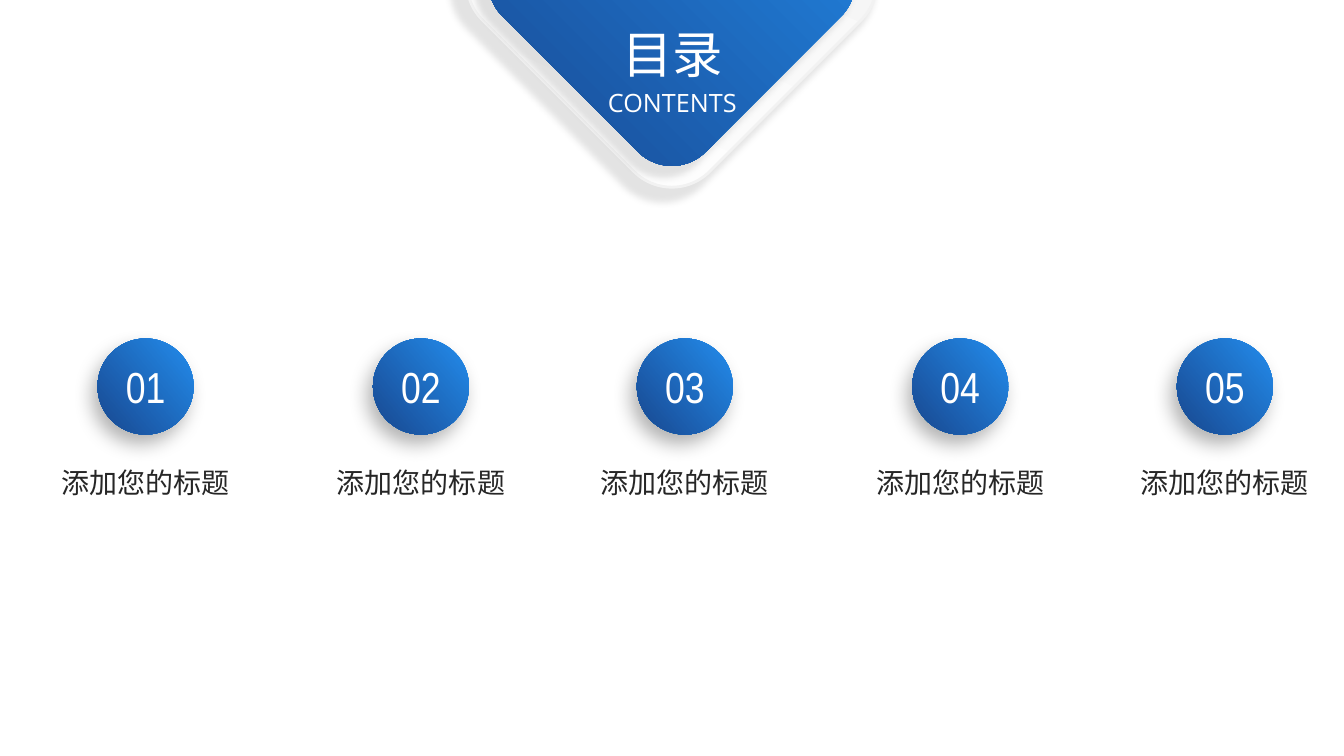
from lxml import etree
from pptx import Presentation, util as u
from pptx.dml.color import RGBColor
from pptx.enum import shapes, text
from pptx.oxml import parse_xml
from pptx.oxml.ns import qn

Cm, Pt = u.Cm, u.Pt
NS = "http://schemas.openxmlformats.org/drawingml/2006/main"


def style_shape(sp, colours, angle, shadow):
    """Two-stop gradient (clockwise angle) and an outer shadow."""
    sp.fill.gradient()
    sp.fill.gradient_angle = 360 - angle
    for stop, colour in zip(sp.fill.gradient_stops, colours):
        stop.color.rgb = RGBColor.from_string(colour)
    sp.line.fill.background()
    sp.shadow.inherit = False
    effects = sp._element.spPr.find(qn("a:effectLst"))
    alpha, attrs = shadow
    effects.append(parse_xml(
        f'<a:outerShdw xmlns:a="{NS}" {attrs} rotWithShape="0">'
        f'<a:srgbClr val="000000"><a:alpha val="{alpha * 1000}"/></a:srgbClr></a:outerShdw>'))


def write(sp, words, size, font, colour, anchor=text.MSO_ANCHOR.TOP):
    tf = sp.text_frame
    for name, value in dict(word_wrap=True, vertical_anchor=anchor,
                            auto_size=text.MSO_AUTO_SIZE.NONE,
                            margin_left=Cm(0.25), margin_right=Cm(0.25),
                            margin_top=Cm(0.13), margin_bottom=Cm(0.13)).items():
        setattr(tf, name, value)
    p = tf.paragraphs[0]
    p.alignment = text.PP_ALIGN.CENTER
    r = p.add_run()
    r.text = words
    for name, value in dict(size=Pt(size), name=font).items():
        setattr(r.font, name, value)
    r.font.color.rgb = RGBColor.from_string(colour)
    etree.SubElement(r._r.get_or_add_rPr(), qn("a:ea"), typeface=font)


prs = Presentation()
prs.slide_width, prs.slide_height = Cm(33.87), Cm(19.05)
s = prs.slides.add_slide(prs.slide_layouts[5])
BLUES = ("238DED", "18478F")

# Diamond header: white frame, then blue centre
SOFT = (11, f'blurRad="{Pt(5)}" dist="0" dir="0" sx="103000" sy="103000" algn="tr"')
for left, top, side, colours, angle in (
        (12.88, -4.5, 8.1, ("FFFFFF", "F2F2F2"), 250),
        (13.31, -4.06, 7.24, BLUES, 90)):
    sp = s.shapes.add_shape(shapes.MSO_SHAPE.ROUNDED_RECTANGLE,
                            Cm(left), Cm(top), Cm(side), Cm(side))
    sp.rotation = 45
    style_shape(sp, colours, angle, SOFT)
    if colours is not BLUES:
        sp.line.color.rgb = RGBColor.from_string("F2F2F2")
        sp.line.width = Pt(2)

# Title, brought in front of the diamond
title = s.shapes.title
s.shapes._spTree.append(title._element)
title.left, title.top, title.width, title.height = Cm(12.12), Cm(0.46), Cm(9.65), Cm(1.8)
write(title, "目录", 36, "Open Sans", "FFFFFF")
subtitle = s.shapes.add_textbox(Cm(12.12), Cm(2.08), Cm(9.65), Cm(1.02))
write(subtitle, "CONTENTS", 18, "Open Sans", "FFFFFF")

# Numbered entries
DEEP = (30, f'blurRad="{Pt(14)}" dist="{Pt(8)}" dir="{120 * 60000}" algn="ctr"')
for number, left in enumerate((2.46, 9.4, 16.05, 22.99, 29.66), 1):
    entry = s.shapes.add_group_shape().shapes
    circle = entry.add_shape(shapes.MSO_SHAPE.OVAL, Cm(left), Cm(8.53), Cm(2.42), Cm(2.42))
    style_shape(circle, BLUES, 140, DEEP)
    write(circle, f"{number:02}", 31, "Arial Narrow", "FFFFFF", text.MSO_ANCHOR.MIDDLE)
    label = entry.add_textbox(Cm(left - 1.98), Cm(11.61), Cm(6.38), Cm(1.12))
    write(label, "添加您的标题", 20, "Noto Sans CJK SC", "262626")

prs.save("out.pptx")
